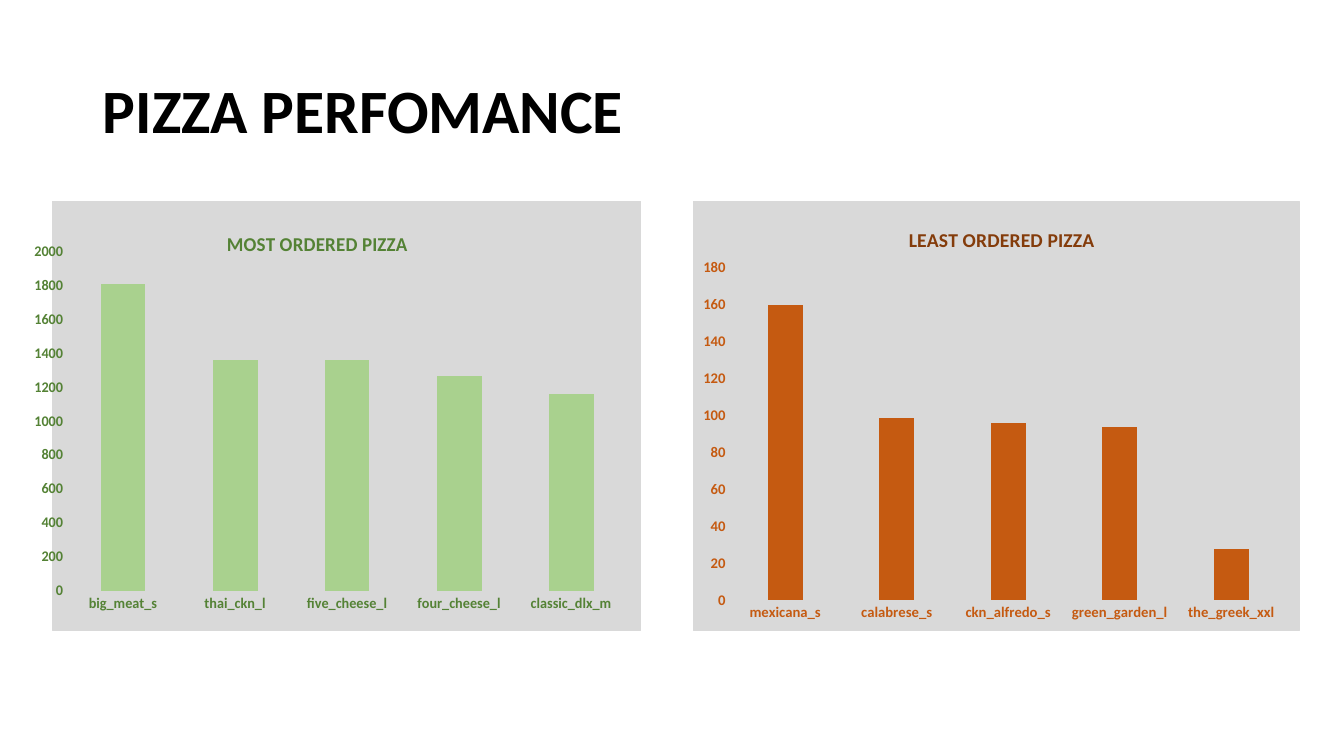
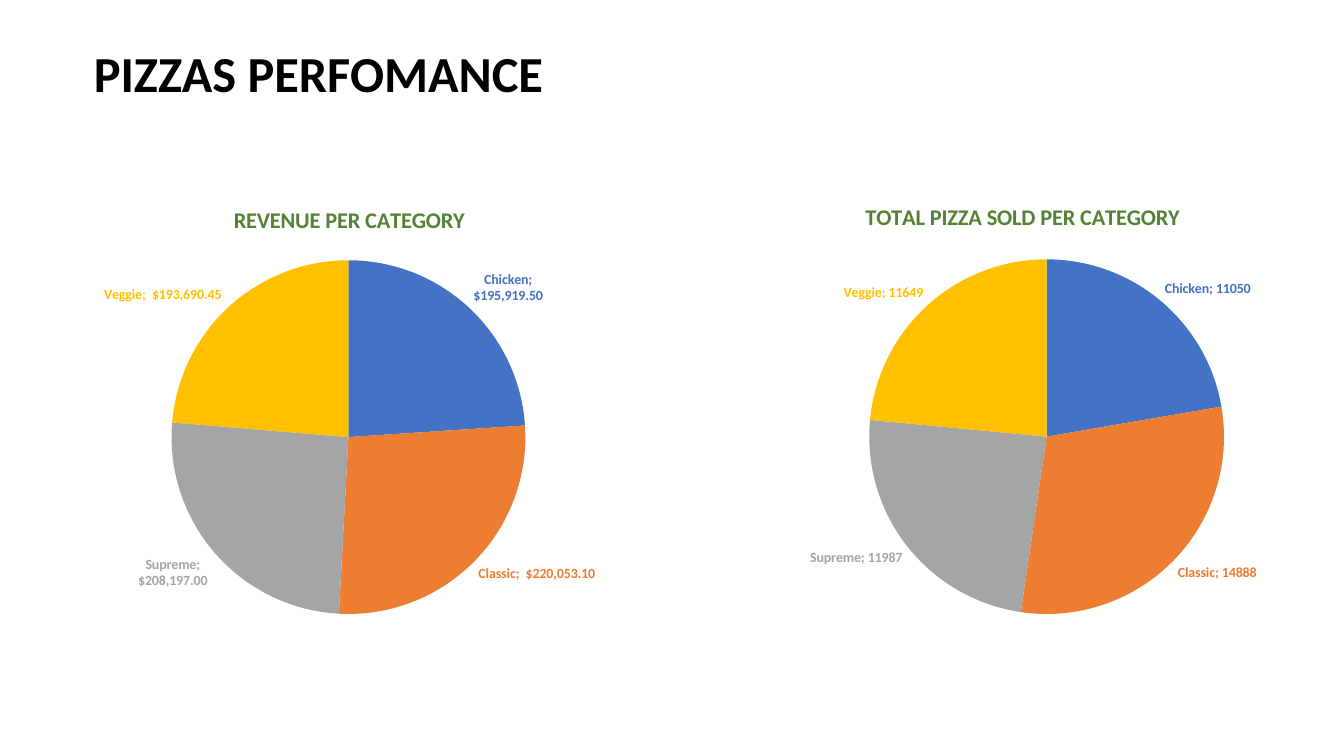
from dataclasses import dataclass

from lxml.etree import SubElement
from pptx import Presentation
from pptx.chart.data import CategoryChartData
from pptx.dml.color import RGBColor
from pptx.enum.chart import XL_CHART_TYPE, XL_LABEL_POSITION, XL_TICK_MARK
from pptx.enum.text import MSO_ANCHOR, MSO_AUTO_SIZE, PP_ALIGN
from pptx.oxml import parse_xml
from pptx.oxml.ns import nsdecls, qn
from pptx.util import Inches, Pt


@dataclass(frozen=True)
class Theme:
    font: str = "Calibri"
    black: str = "000000"
    panel: str = "D9D9D9"
    green: str = "548235"
    light_green: str = "A9D18E"
    orange: str = "C55A11"
    brown: str = "843C0B"
    slices: tuple = ("4472C4", "ED7D31", "A5A5A5", "FFC000")
    axis_size: float = 10.5
    label_size: float = 10
    bar_title_size: float = 14
    pie_title_size: float = 16


T = Theme()
DOLLARS = '_("$"* #,##0.00_);_("$"* \\(#,##0.00\\);_("$"* "-"??_);_(@_)'

# Content: frames in inches; title and plot places as shares of the chart
BAR_TOP, BAR_W, BAR_H = 1.99, 6.02, 4.27
PIE_TOP, PIE_H = 1.76, 4.57
CATEGORIES = ["Chicken", "Classic", "Supreme", "Veggie"]

BARS = [
    dict(title="MOST ORDERED PIZZA", title_color=T.green, title_at=(0.29, 0.06),
         frame=(0.34, BAR_TOP, BAR_W, BAR_H), plot=(0.024, 0.118, 0.953, 0.79),
         cats=["big_meat_s", "thai_ckn_l", "five_cheese_l", "four_cheese_l",
               "classic_dlx_m"],
         vals=[1810, 1360, 1360, 1270, 1160], top=2000, step=200,
         bar=T.light_green, text=T.green, gap=150, overlap=0, lines=False),
    dict(title="LEAST ORDERED PIZZA", title_color=T.brown, title_at=(0.35, 0.05),
         frame=(6.87, BAR_TOP, BAR_W, BAR_H), plot=(0.06, 0.156, 0.92, 0.774),
         cats=["mexicana_s", "calabrese_s", "ckn_alfredo_s", "green_garden_l",
               "the_greek_xxl"],
         vals=[160, 99, 96, 94, 28], top=180, step=20,
         bar=T.orange, text=T.orange, gap=219, overlap=-27, lines=True),
]
PIES = [
    dict(title="REVENUE PER CATEGORY", title_color=T.green, title_at=(0.31, 0.05),
         frame=(0.39, PIE_TOP, 6.09, PIE_H), plot=(0.215, 0.18, 0.577, 0.768),
         cats=CATEGORIES, vals=[195919.5, 220053.1, 208197, 193690.45],
         fmt=DOLLARS),
    dict(title="TOTAL PIZZA SOLD PER CATEGORY", title_color=T.green,
         title_at=(0.215, 0.045),
         frame=(7.37, PIE_TOP, 5.46, PIE_H), plot=(0.229, 0.178, 0.645, 0.77),
         cats=CATEGORIES, vals=[11050, 14888, 11987, 11649], fmt="General"),
]


def style_font(font, size, color, bold=True):
    font.name, font.size, font.bold = T.font, Pt(size), bold
    font.color.rgb = RGBColor.from_string(color)


def fill_solid(fill, color):
    fill.solid()
    fill.fore_color.rgb = RGBColor.from_string(color)


def add_title_slide(prs, text, size, frame):
    s = prs.slides.add_slide(prs.slide_layouts[5])
    sp = s.shapes.title
    sp.left, sp.top, sp.width, sp.height = map(Inches, frame)
    tf = sp.text_frame
    tf.text = text
    tf.auto_size = MSO_AUTO_SIZE.NONE
    tf.vertical_anchor = MSO_ANCHOR.MIDDLE
    p = tf.paragraphs[0]
    p.alignment, p.line_spacing = PP_ALIGN.LEFT, 0.9
    style_font(p.font, size, T.black)
    return s


def place(parent, index, shares, inner=False):
    """Give a chart part a manual layout, as shares of the chart."""
    old = parent.find(qn("c:layout"))
    if old is not None:
        parent.remove(old)
    layout = parse_xml(f"<c:layout {nsdecls('c')}><c:manualLayout/></c:layout>")
    manual = layout[0]
    if inner:
        SubElement(manual, qn("c:layoutTarget"), val="inner")
    for axis in "xy":
        SubElement(manual, qn(f"c:{axis}Mode"), val="edge")
    for name, share in zip("xywh", shares):
        SubElement(manual, qn(f"c:{name}"), val=str(share))
    parent.insert(index, layout)


def paint_area(chart, color):
    """Fill and outline the chart area, or leave it clear."""
    paint = "<a:noFill/>"
    if color:
        paint = f'<a:solidFill><a:srgbClr val="{color}"/></a:solidFill>'
    chart._chartSpace.find(qn("c:chart")).addnext(parse_xml(
        f'<c:spPr {nsdecls("c", "a")}>{paint}<a:ln w="9525">{paint}</a:ln></c:spPr>'))


def add_chart(s, kind, c, title_size, area=None):
    data = CategoryChartData()
    data.categories = c["cats"]
    data.add_series("Series 1", c["vals"])
    chart = s.shapes.add_chart(kind, *map(Inches, c["frame"]), data).chart
    style_font(chart.font, T.label_size, T.black, False)
    chart.has_legend = False
    chart.has_title = True
    title = chart.chart_title
    title.include_in_layout = False
    title.text_frame.text = c["title"]
    style_font(title.text_frame.paragraphs[0].font, title_size, c["title_color"])
    place(title._element, 1, c["title_at"])
    place(chart._chartSpace.find(".//" + qn("c:plotArea")), 0, c["plot"], inner=True)
    paint_area(chart, area)
    return chart


def add_bars(s, c):
    chart = add_chart(s, XL_CHART_TYPE.COLUMN_CLUSTERED, c, T.bar_title_size, T.panel)
    plot = chart.plots[0]
    plot.gap_width, plot.overlap, plot.vary_by_categories = c["gap"], c["overlap"], False
    fill_solid(plot.series[0].format.fill, c["bar"])
    cat, val = chart.category_axis, chart.value_axis
    for axis in (cat, val):
        axis.major_tick_mark = axis.minor_tick_mark = XL_TICK_MARK.NONE
        axis.format.line.fill.background()
        style_font(axis.tick_labels.font, T.axis_size, c["text"])
    val.minimum_scale, val.maximum_scale, val.major_unit = 0, c["top"], c["step"]
    val.tick_labels.number_format = "0"
    val.tick_labels.number_format_is_linked = False
    val.has_major_gridlines = c["lines"]
    if c["lines"]:
        for line in (cat.format.line, val.major_gridlines.format.line):
            line.width = Pt(0.75)
            fill_solid(line.fill, T.panel)


def add_pie(s, c):
    chart = add_chart(s, XL_CHART_TYPE.PIE, c, T.pie_title_size)
    series = chart.plots[0].series[0]
    for i, color in enumerate(T.slices):
        point = series.points[i]
        fill_solid(point.format.fill, color)
        style_font(point.data_label.font, T.label_size, color)
        point.data_label.position = XL_LABEL_POSITION.OUTSIDE_END
    # Each label reads "category; value"
    for label in series._element.iter(qn("c:dLbl")):
        label.find(qn("c:showCatName")).set("val", "1")
        number = parse_xml(f'<c:numFmt {nsdecls("c")} sourceLinked="0"/>')
        number.set("formatCode", c["fmt"])
        label.find(qn("c:idx")).addnext(number)
        SubElement(label, qn("c:separator")).text = "; "


def main():
    prs = Presentation()
    prs.slide_width, prs.slide_height = Inches(13.33), Inches(7.5)

    # Best and worst sellers
    s = add_title_slide(prs, "PIZZA PERFOMANCE", 44, (0.92, 0.4, 11.5, 1.45))
    for c in BARS:
        add_bars(s, c)

    # Shares by category
    s = add_title_slide(prs, "PIZZAS PERFOMANCE", 36, (0.83, 0.4, 5.84, 0.71))
    for c in PIES:
        add_pie(s, c)

    prs.save("out.pptx")


if __name__ == "__main__":
    main()
